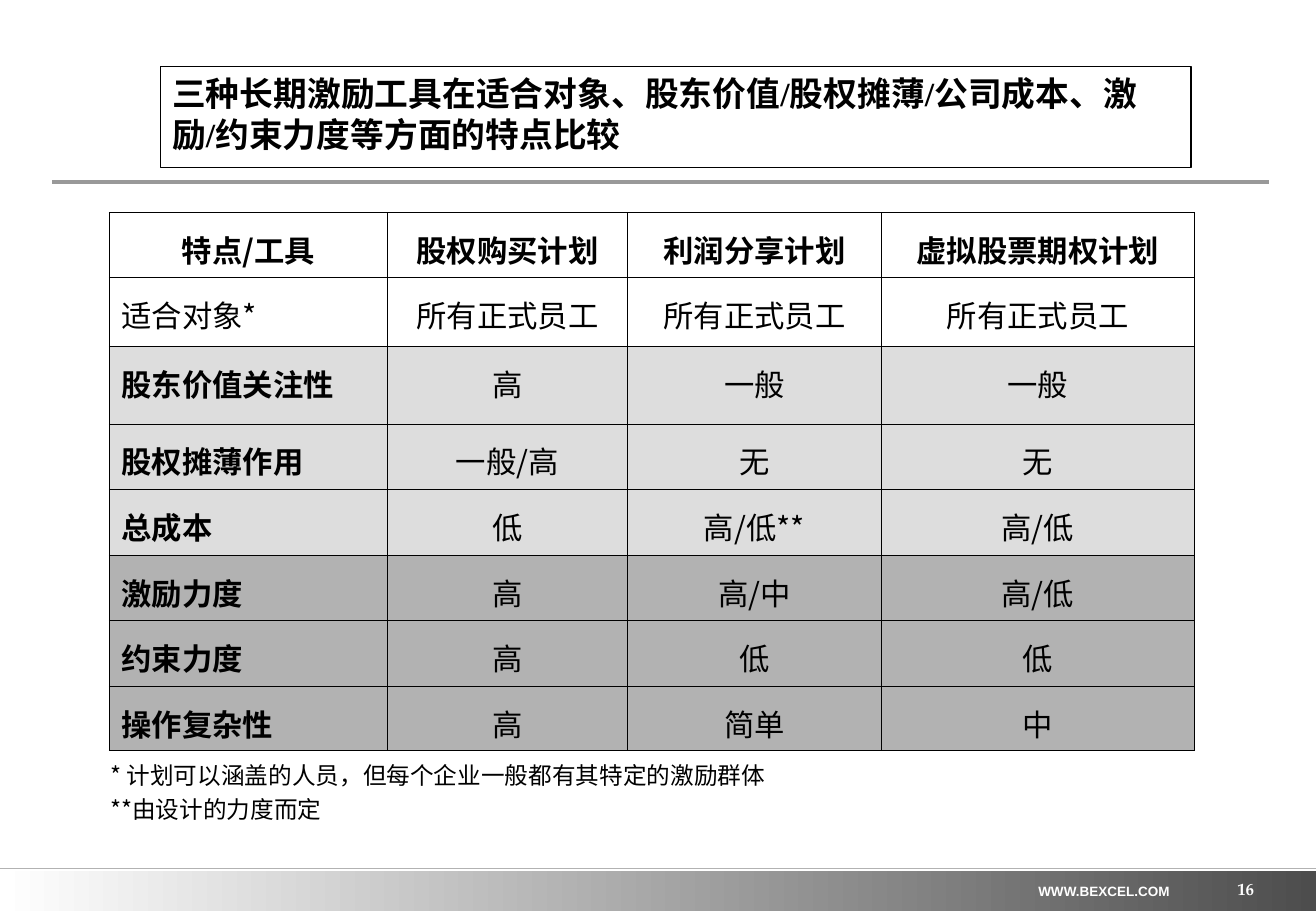
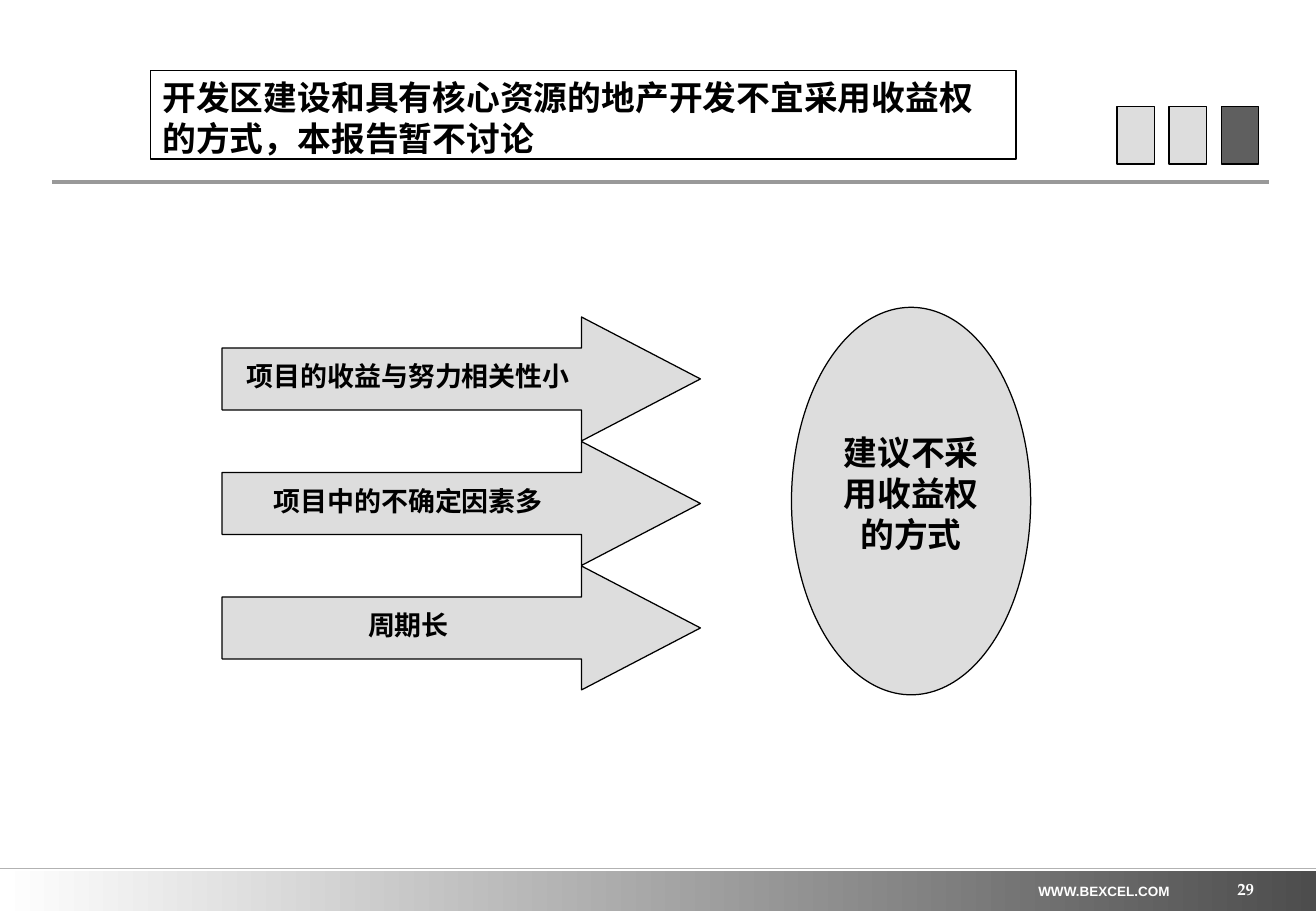
from dataclasses import dataclass

from lxml.etree import SubElement as Sub
from pptx import Presentation
from pptx.dml.color import RGBColor as Rgb
from pptx.enum.shapes import MSO_CONNECTOR as Conn, MSO_SHAPE as Kind
from pptx.enum.text import MSO_ANCHOR as Anchor, PP_ALIGN as Align
from pptx.oxml.ns import qn
from pptx.util import Inches, Pt


@dataclass(frozen=True)
class Theme:
    black: str = "000000"
    white: str = "FFFFFF"
    pale: str = "DDDDDD"
    mid: str = "B2B2B2"
    rule: str = "999999"
    dark: str = "5F5F5F"
    deep: str = "4D4D4D"
    sans: str = "Arial"
    serif: str = "Times New Roman"
    han: str = "Noto Sans CJK SC"
    book: str = "TeX Gyre Pagella"
    head: int = 20
    grid: int = 18
    body: int = 16
    note: int = 14
    page: int = 10
    site: int = 8
    lead: float = 1.21


T = Theme()
PAD = (0.1, 0.05, 0.1, 0.05)


class Deck:
    def __init__(self, wide, high):
        self.prs = Presentation()
        self.prs.slide_width = Inches(wide)
        self.prs.slide_height = Inches(high)
        self.wide = wide
        self.slide = None

    def start(self, page):
        self.slide = self.prs.slides.add_slide(self.prs.slide_layouts[6])
        band = self.shape(Kind.RECTANGLE, (0, 7.17, self.wide, 0.33), T.white, edge=None)
        band.fill.gradient()
        band.fill.gradient_angle = 0
        for stop, hue, pos in zip(band.fill.gradient_stops, (T.white, T.deep), (0, 1)):
            stop.color.rgb = Rgb.from_string(hue)
            stop.position = pos
        self.line((0.43, 1.5), (10.45, 1.5), T.rule, 2.5)
        self.line((0, 7.15), (self.wide, 7.15), T.mid, 1)
        self.text((8.45, 7.22, 1.29, 0.24), ["WWW.BEXCEL.COM"], T.site, T.sans,
                  hue=T.white, bold=True, align=Align.CENTER, wrap=False)
        self.text((8.07, 7.07, 2.26, 0.33), [str(page)], T.page, T.book,
                  hue=T.white, bold=True, align=Align.RIGHT,
                  anchor=Anchor.BOTTOM, pad=(0, 0, 0, 0))

    def style(self, para, size, face, hue=T.black, bold=False, align=Align.LEFT, lead=None):
        para.alignment = align
        if lead:
            para.line_spacing = lead
        font = para.font
        font.size, font.bold, font.name = Pt(size), bold, face
        font.color.rgb = Rgb.from_string(hue)
        Sub(para._p.pPr.find(qn("a:defRPr")), qn("a:ea"), typeface=T.han)

    def fill(self, frame, lines, size, face, anchor=Anchor.TOP, pad=PAD, wrap=True, **look):
        frame.word_wrap = wrap
        frame.vertical_anchor = anchor
        (frame.margin_left, frame.margin_top,
         frame.margin_right, frame.margin_bottom) = map(Inches, pad)
        frame.text = "\n".join(lines)
        for para in frame.paragraphs:
            self.style(para, size, face, **look)

    def text(self, box, lines, size, face, **look):
        item = self.slide.shapes.add_textbox(*map(Inches, box))
        self.fill(item.text_frame, lines, size, face, **look)

    def shape(self, kind, box, hue, edge=T.black):
        item = self.slide.shapes.add_shape(kind, *map(Inches, box))
        item.shadow.inherit = False
        item.fill.solid()
        item.fill.fore_color.rgb = Rgb.from_string(hue)
        if edge:
            item.line.color.rgb = Rgb.from_string(edge)
            item.line.width = Pt(0.75)
        else:
            item.line.fill.background()
        return item

    def label(self, item, words, size, face=T.sans, **look):
        look = dict(align=Align.CENTER, anchor=Anchor.MIDDLE) | look
        self.fill(item.text_frame, [words], size, face, bold=True,
                  lead=Pt(size * T.lead), **look)

    def title(self, box, words, face):
        item = self.shape(Kind.RECTANGLE, box, T.white)
        self.label(item, words, T.head, face, align=Align.LEFT, anchor=Anchor.TOP)

    def line(self, start, end, hue, width):
        item = self.slide.shapes.add_connector(Conn.STRAIGHT, *map(Inches, start + end))
        item.line.color.rgb = Rgb.from_string(hue)
        item.line.width = Pt(width)
        Sub(item._element.spPr, qn("a:effectLst"))

    def cell(self, cell, words, hue, bold, align):
        props = cell._tc.get_or_add_tcPr()
        for side in ("lnL", "lnR", "lnT", "lnB"):
            edge = Sub(props, qn("a:" + side), w=str(Pt(0.45)))
            Sub(Sub(edge, qn("a:solidFill")), qn("a:srgbClr"), val=T.black)
        cell.fill.solid()
        cell.fill.fore_color.rgb = Rgb.from_string(hue)
        cell.text = words
        self.style(cell.text_frame.paragraphs[0], T.grid, T.han,
                   bold=bold, align=align, lead=1.2)

    def table(self, left, top, cols, highs, rows, hues):
        box = (left, top, sum(cols), sum(highs))
        grid = self.slide.shapes.add_table(len(rows), len(cols), *map(Inches, box)).table
        grid.first_row = grid.horz_banding = False
        for col, wide in zip(grid.columns, cols):
            col.width = Inches(wide)
        for r, (row, high, hue) in enumerate(zip(rows, highs, hues)):
            grid.rows[r].height = Inches(high)
            for c, words in enumerate(row):
                bold = r == 0 or (c == 0 and r > 1)
                align = Align.LEFT if c == 0 and r else Align.CENTER
                self.cell(grid.cell(r, c), words, hue, bold, align)


def compare(deck):
    deck.start(16)
    deck.title((1.32, 0.55, 8.49, 0.83),
               "三种长期激励工具在适合对象、股东价值/股权摊薄/公司成本、激励/约束力度等方面的特点比较",
               T.serif)
    rows = [
        ("特点/工具", "股权购买计划", "利润分享计划", "虚拟股票期权计划"),
        ("适合对象*",) + ("所有正式员工",) * 3,
        ("股东价值关注性", "高", "一般", "一般"),
        ("股权摊薄作用", "一般/高", "无", "无"),
        ("总成本", "低", "高/低**", "高/低"),
        ("激励力度", "高", "高/中", "高/低"),
        ("约束力度", "高", "低", "低"),
        ("操作复杂性", "高", "简单", "中"),
    ]
    hues = [T.white] * 2 + [T.pale] * 3 + [T.mid] * 3
    highs = [0.53, 0.57, 0.64] + [0.54] * 4 + [0.53]
    deck.table(0.9, 1.75, (2.29, 1.98, 2.09, 2.58), highs, rows, hues)
    deck.text((0.81, 6.17, 6.23, 0.66),
              ["* 计划可以涵盖的人员，但每个企业一般都有其特定的激励群体", "**由设计的力度而定"],
              T.note, T.han, lead=Pt(20))


def advise(deck):
    deck.start(29)
    deck.title((1.24, 0.58, 7.13, 0.73),
               "开发区建设和具有核心资源的地产开发不宜采用收益权的方式，本报告暂不讨论", T.han)
    for i, hue in enumerate((T.pale, T.pale, T.dark)):
        deck.shape(Kind.RECTANGLE, (9.2 + 0.43 * i, 0.88, 0.31, 0.47), hue)
    causes = ("项目的收益与努力相关性小", "项目中的不确定因素多", "周期长")
    for i, cause in enumerate(causes):
        arrow = deck.shape(Kind.RIGHT_ARROW, (1.83, 2.61 + 1.025 * i, 3.94, 1.02), T.pale)
        arrow.adjustments[1] = 0.96
        deck.label(arrow, cause, T.body, pad=(0.1, 0.05, 0.48, 0.1))
    oval = deck.shape(Kind.OVAL, (6.52, 2.53, 1.97, 3.19), T.pale)
    deck.label(oval, "建议不采用收益权的方式", T.head, pad=(0.1, 0.05, 0.1, 0.18))


def main():
    deck = Deck(10.84, 7.5)
    compare(deck)
    advise(deck)
    deck.prs.save("out.pptx")


if __name__ == "__main__":
    main()
